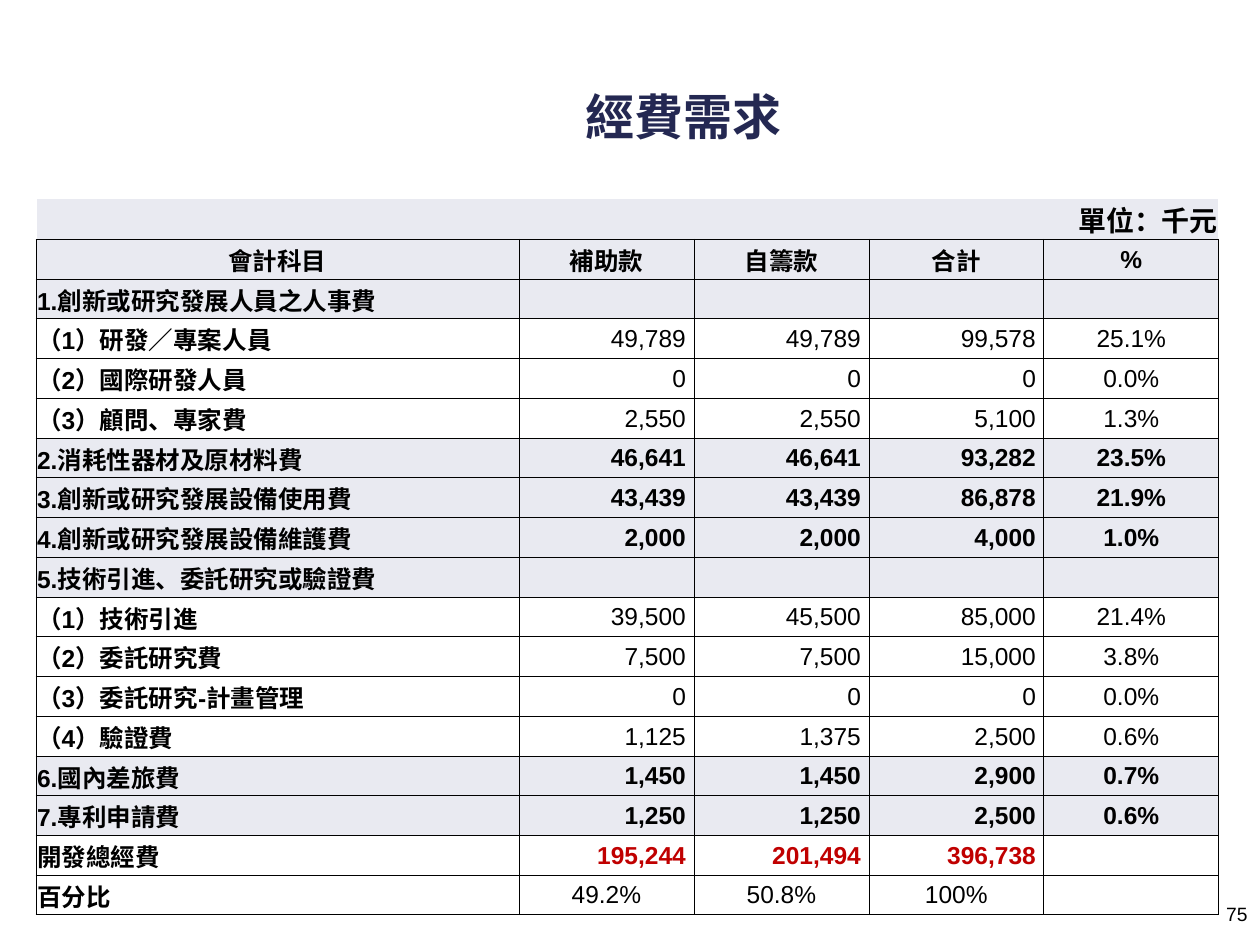
import dataclasses

import lxml.etree
import pptx
import pptx.dml.color
import pptx.enum.shapes
import pptx.enum.text
import pptx.oxml.ns
import pptx.util

ALIGN = pptx.enum.text.PP_ALIGN
ANCHOR = pptx.enum.text.MSO_ANCHOR


@dataclasses.dataclass(frozen=True)
class Theme:
    """Hold the colours, type sizes and font of the slide."""
    font: str = "Arial"
    white: str = "FFFFFF"
    black: str = "000000"
    navy: str = "242852"
    red: str = "C00000"
    shade: str = "E9EAF1"
    head: int = 28
    unit: int = 16
    body: int = 14
    page: int = 11


THEME = Theme()
WIDTHS = [483, 175, 175, 175, 175]
TOP, HEIGHT = 198, 716
HEADS = ("會計科目", "補助款", "自籌款", "合計", "%")
COSTS = [
    ("1.創新或研究發展人員之人事費",),
    ("（1）研發／專案人員", "49,789", "49,789", "99,578", "25.1%"),
    ("（2）國際研發人員", "0", "0", "0", "0.0%"),
    ("（3）顧問、專家費", "2,550", "2,550", "5,100", "1.3%"),
    ("2.消耗性器材及原材料費", "46,641", "46,641", "93,282", "23.5%"),
    ("3.創新或研究發展設備使用費", "43,439", "43,439", "86,878", "21.9%"),
    ("4.創新或研究發展設備維護費", "2,000", "2,000", "4,000", "1.0%"),
    ("5.技術引進、委託研究或驗證費",),
    ("（1）技術引進", "39,500", "45,500", "85,000", "21.4%"),
    ("（2）委託研究費", "7,500", "7,500", "15,000", "3.8%"),
    ("（3）委託研究-計畫管理", "0", "0", "0", "0.0%"),
    ("（4）驗證費", "1,125", "1,375", "2,500", "0.6%"),
    ("6.國內差旅費", "1,450", "1,450", "2,900", "0.7%"),
    ("7.專利申請費", "1,250", "1,250", "2,500", "0.6%"),
]
TOTAL = ("開發總經費", "195,244", "201,494", "396,738")
SHARE = ("百分比", "49.2%", "50.8%", "100%")


def px(count):
    """Turn pixels into EMU."""
    return pptx.util.Emu(round(count * 914400 / 126))


def tint(name):
    """Make a colour from its hex name."""
    return pptx.dml.color.RGBColor.from_string(name)


def write(frame, text, size=THEME.body, color=THEME.black, bold=False, align=ALIGN.LEFT):
    """Write one formatted paragraph into a text frame."""
    para = frame.paragraphs[0]
    para.alignment = align
    if not text:
        para._p.get_or_add_endParaRPr().set("sz", str(size * 100))
        return
    run = para.add_run()
    run.text = text
    run.font.name = THEME.font
    run.font.size = pptx.util.Pt(size)
    run.font.bold = bold
    run.font.color.rgb = tint(color)


def edge(cell, side, color, width):
    """Draw one border of a cell."""
    props = cell._tc.get_or_add_tcPr()
    name = pptx.oxml.ns.qn
    line = lxml.etree.SubElement(props, name(f"a:ln{side}"), w=str(pptx.util.Pt(width)))
    fill = lxml.etree.SubElement(line, name("a:solidFill"))
    lxml.etree.SubElement(fill, name("a:srgbClr"), val=color)


def style(cell, shade, top=False):
    """Set the borders, fill and margins of a cell."""
    for side in "LRTB":
        if top and side != "B":
            edge(cell, side, THEME.white, 1)
        else:
            edge(cell, side, THEME.black, 0.5)
    if shade:
        cell.fill.solid()
        cell.fill.fore_color.rgb = tint(THEME.shade)
    else:
        cell.fill.background()
    cell.vertical_anchor = ANCHOR.MIDDLE
    cell.margin_left = cell.margin_right = cell.margin_top = px(1)
    cell.margin_bottom = 0


def fill_row(table, index, texts, shade=False, bold=False, color=THEME.black, aligns=None):
    """Fill a table row whose first cell is its bold label."""
    aligns = aligns or [ALIGN.LEFT] + [ALIGN.RIGHT] * 3 + [ALIGN.CENTER]
    for col, align in enumerate(aligns):
        cell = table.cell(index, col)
        style(cell, shade)
        if align == ALIGN.RIGHT:
            cell.margin_right = px(8)
        text = texts[col] if col < len(texts) else ""
        write(cell.text_frame, text, color=color if col else THEME.black,
              bold=bold or col == 0, align=align)


def add_costs(slide):
    """Add the table of costs."""
    count = len(COSTS) + 4
    frame = slide.shapes.add_table(count, len(WIDTHS), px(36), px(TOP), px(sum(WIDTHS)), px(HEIGHT))
    table = frame.table
    table.first_row = table.horz_banding = False
    for column, width in zip(table.columns, WIDTHS):
        column.width = px(width)
    for cell in table.rows[0].cells:
        style(cell, True, top=True)
    unit = table.cell(0, 0)
    unit.merge(table.cell(0, len(WIDTHS) - 1))
    write(unit.text_frame, "單位：千元", size=THEME.unit, bold=True, align=ALIGN.RIGHT)
    fill_row(table, 1, HEADS, shade=True, bold=True, aligns=[ALIGN.CENTER] * 5)
    for index, texts in enumerate(COSTS, 2):
        group = texts[0][0].isdigit()
        fill_row(table, index, texts, shade=group, bold=group)
    fill_row(table, count - 2, TOTAL, bold=True, color=THEME.red)
    fill_row(table, count - 1, SHARE, aligns=[ALIGN.LEFT] + [ALIGN.CENTER] * 4)


def add_panel(slide):
    """Add the white panel behind everything."""
    kind = pptx.enum.shapes.MSO_SHAPE.RECTANGLE
    panel = slide.shapes.add_shape(kind, 0, px(92), px(1260), px(825))
    panel.shadow.inherit = False
    panel.fill.solid()
    panel.fill.fore_color.rgb = tint(THEME.white)
    panel.line.fill.background()
    slide.shapes._spTree.insert(2, panel._element)


def add_title(slide):
    """Place and write the title."""
    title = slide.shapes.title
    title.left, title.top, title.width, title.height = map(px, (170, 77, 1027, 78))
    title.text_frame.vertical_anchor = ANCHOR.MIDDLE
    write(title.text_frame, "經費需求", size=THEME.head, color=THEME.navy,
          bold=True, align=ALIGN.CENTER)


def add_page(slide):
    """Add the page number."""
    box = slide.shapes.add_textbox(px(967), px(896), px(293), px(46))
    box.text_frame.word_wrap = True
    write(box.text_frame, "75", size=THEME.page, align=ALIGN.RIGHT)


def main():
    """Build and save the slide."""
    deck = pptx.Presentation()
    deck.slide_width, deck.slide_height = px(1260), px(945)
    slide = deck.slides.add_slide(deck.slide_layouts[5])
    add_panel(slide)
    add_title(slide)
    add_costs(slide)
    add_page(slide)
    deck.save("out.pptx")


if __name__ == "__main__":
    main()
